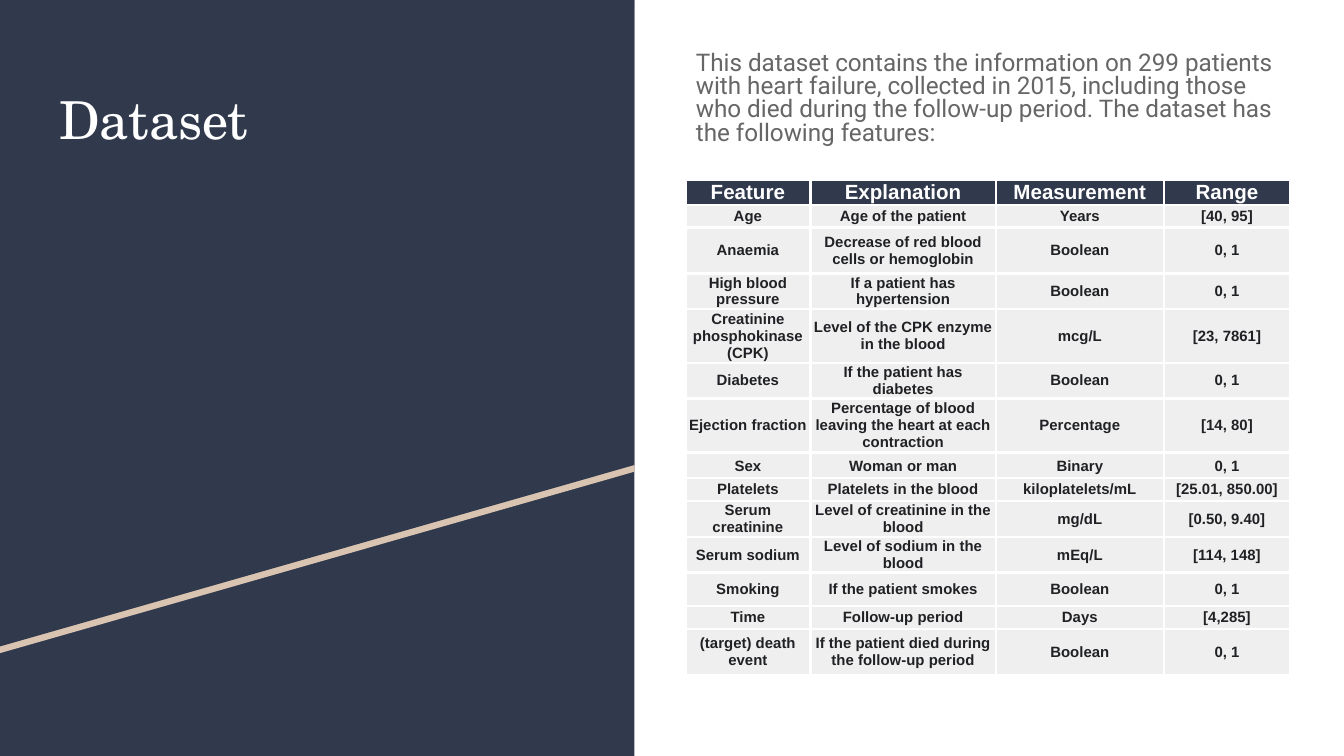
from lxml import etree
from pptx import Presentation
from pptx.dml.color import RGBColor
from pptx.enum.shapes import MSO_SHAPE
from pptx.enum.text import MSO_ANCHOR, PP_ALIGN
from pptx.oxml.ns import qn
from pptx.util import Inches, Pt

RECTANGLE = MSO_SHAPE.RECTANGLE
TOP, MIDDLE = MSO_ANCHOR.TOP, MSO_ANCHOR.MIDDLE
LEFT, CENTER = PP_ALIGN.LEFT, PP_ALIGN.CENTER

NAVY = RGBColor(0x31, 0x39, 0x4D)
SAND = RGBColor(0xD9, 0xC4, 0xB1)
WHITE = RGBColor(0xFF, 0xFF, 0xFF)
GRAY = RGBColor(0x66, 0x66, 0x66)
INK = RGBColor(0x20, 0x21, 0x24)
PALE = RGBColor(0xEF, 0xEF, 0xEF)

SLIDE_WIDTH = Inches(10)
SLIDE_HEIGHT = SLIDE_WIDTH * 9 // 16
PANEL_WIDTH = Inches(4.72)
COLUMN_WIDTHS = [0.93, 1.38, 1.25, 0.94]
SPACED_FEATURE = "Sex"
# Each row: height, then the four cell texts
FEATURE_ROWS = [
    (0.18, "Feature", "Explanation", "Measurement", "Range"),
    (0.17, "Age", "Age of the patient", "Years", "[40, 95]"),
    (0.34, "Anaemia", "Decrease of red blood cells or hemoglobin", "Boolean", "0, 1"),
    (0.26, "High blood pressure", "If a patient has hypertension", "Boolean", "0, 1"),
    (0.26, "Creatinine phosphokinase\n(CPK)", "Level of the CPK enzyme in the blood",
     "mcg/L", "[23, 7861]"),
    (0.25, "Diabetes", "If the patient has diabetes", "Boolean", "0, 1"),
    (0.34, "Ejection fraction", "Percentage of blood leaving the heart at each contraction",
     "Percentage", "[14, 80]"),
    (0.19, SPACED_FEATURE, "Woman or man", "Binary", "0, 1"),
    (0.17, "Platelets", "Platelets in the blood", "kiloplatelets/mL", "[25.01, 850.00]"),
    (0.26, "Serum creatinine", "Level of creatinine in the blood", "mg/dL", "[0.50, 9.40]"),
    (0.26, "Serum sodium", "Level of sodium in the blood", "mEq/L", "[114, 148]"),
    (0.25, "Smoking", "If the patient smokes", "Boolean", "0, 1"),
    (0.17, "Time", "Follow-up period", "Days", "[4,285]"),
    (0.34, "(target) death event", "If the patient died during the follow-up period",
     "Boolean", "0, 1"),
    (0.22, "", "", "", ""),
]


class SlideBuilder:
    title_font = "TeX Gyre Schola"
    body_font = "Roboto"
    table_font = "Arial"

    def __init__(self, slide):
        self.slide = slide

    def add_run(self, paragraph, text, font_name, size, color, bold=False):
        run = paragraph.add_run()
        run.text = text
        run.font.name = font_name
        run.font.size = Pt(size)
        run.font.bold = bold
        run.font.color.rgb = color

    def paint(self, shape, color):
        shape.shadow.inherit = False
        shape.fill.solid()
        shape.fill.fore_color.rgb = color
        shape.line.fill.background()

    def panel(self, width, height, color):
        shape = self.slide.shapes.add_shape(RECTANGLE, 0, 0, width, height)
        self.paint(shape, color)

    def slanted_panel(self, top, color):
        corners = [(PANEL_WIDTH, Inches(top)), (PANEL_WIDTH, Inches(top + 3.46)),
                   (0, Inches(top + 4.81))]
        builder = self.slide.shapes.build_freeform(0, Inches(top))
        builder.add_line_segments(corners, close=True)
        self.paint(builder.convert_to_shape(), color)

    def place_text(self, shape, box):
        shape.left, shape.top, shape.width, shape.height = [Inches(value) for value in box]
        frame = shape.text_frame
        frame.word_wrap = True
        frame.vertical_anchor = TOP
        frame.margin_left = frame.margin_right = Inches(0.1)
        frame.margin_top = frame.margin_bottom = Inches(0.1)
        paragraph = frame.paragraphs[0]
        paragraph.alignment = LEFT
        return paragraph

    def title(self, text, box):
        title = self.slide.shapes.title
        # Bring the title in front of the panels
        title.element.getparent().append(title.element)
        paragraph = self.place_text(title, box)
        self.add_run(paragraph, text, self.title_font, 28, WHITE)

    def introduction(self, text, box):
        shape = self.slide.shapes.add_textbox(0, 0, 0, 0)
        paragraph = self.place_text(shape, box)
        paragraph.line_spacing = 0.8
        paragraph.space_after = Pt(12)
        self.add_run(paragraph, text, self.body_font, 13, GRAY)

    def cell_borders(self, cell, color, width):
        properties = cell._tc.get_or_add_tcPr()
        for side in ("lnL", "lnR", "lnT", "lnB"):
            line = etree.SubElement(properties, qn(f"a:{side}"), w=str(Pt(width)))
            fill = etree.SubElement(line, qn("a:solidFill"))
            etree.SubElement(fill, qn("a:srgbClr"), val=str(color))

    def cell(self, cell, text, header, spaced):
        self.cell_borders(cell, WHITE, 1.5)
        cell.vertical_anchor = MIDDLE
        cell.margin_left = cell.margin_right = Inches(0.03 if spaced else 0.02)
        cell.margin_top = cell.margin_bottom = Inches(0.02 if spaced else 0)
        if not text:
            cell.fill.background()
            return
        cell.fill.solid()
        cell.fill.fore_color.rgb = NAVY if header else PALE
        size, color = (11, WHITE) if header else (8, INK)
        frame = cell.text_frame
        for index, line in enumerate(text.split("\n")):
            paragraph = frame.add_paragraph() if index else frame.paragraphs[0]
            paragraph.alignment = CENTER
            if spaced:
                paragraph.line_spacing = 1.15
            self.add_run(paragraph, line, self.table_font, size, color, bold=True)

    def feature_table(self, rows, column_widths, box):
        frame = self.slide.shapes.add_table(
            len(rows), len(column_widths), *[Inches(value) for value in box])
        table = frame.table
        table.first_row = table.horz_banding = False
        for column, width in zip(table.columns, column_widths):
            column.width = Inches(width)
        for row_index, (row_height, *texts) in enumerate(rows):
            table.rows[row_index].height = Inches(row_height)
            spaced = texts[0] == SPACED_FEATURE
            for column_index, text in enumerate(texts):
                self.cell(table.cell(row_index, column_index), text, row_index == 0, spaced)
        # Rows and columns resize the frame, so set its size last
        frame.width, frame.height = Inches(box[2]), Inches(box[3])


def main():
    presentation = Presentation()
    presentation.slide_width = SLIDE_WIDTH
    presentation.slide_height = SLIDE_HEIGHT
    builder = SlideBuilder(presentation.slides.add_slide(presentation.slide_layouts[5]))

    # Left panel with its slanted stripe
    builder.panel(PANEL_WIDTH, SLIDE_HEIGHT, NAVY)
    builder.slanted_panel(0.05, SAND)
    builder.slanted_panel(0, NAVY)

    # Title and introduction
    builder.title("Dataset", (0.34, 0.55, 1.84, 0.83))
    builder.introduction(
        "This dataset contains the information on 299 patients with heart failure, "
        "collected in 2015, including those who died during the follow-up period. "
        "The dataset has the following features:", (5.08, 0.29, 4.56, 0.92))

    # Feature table
    builder.feature_table(FEATURE_ROWS, COLUMN_WIDTHS, (5.1, 1.34, 3.28, 3.28))

    presentation.save("out.pptx")


if __name__ == "__main__":
    main()
